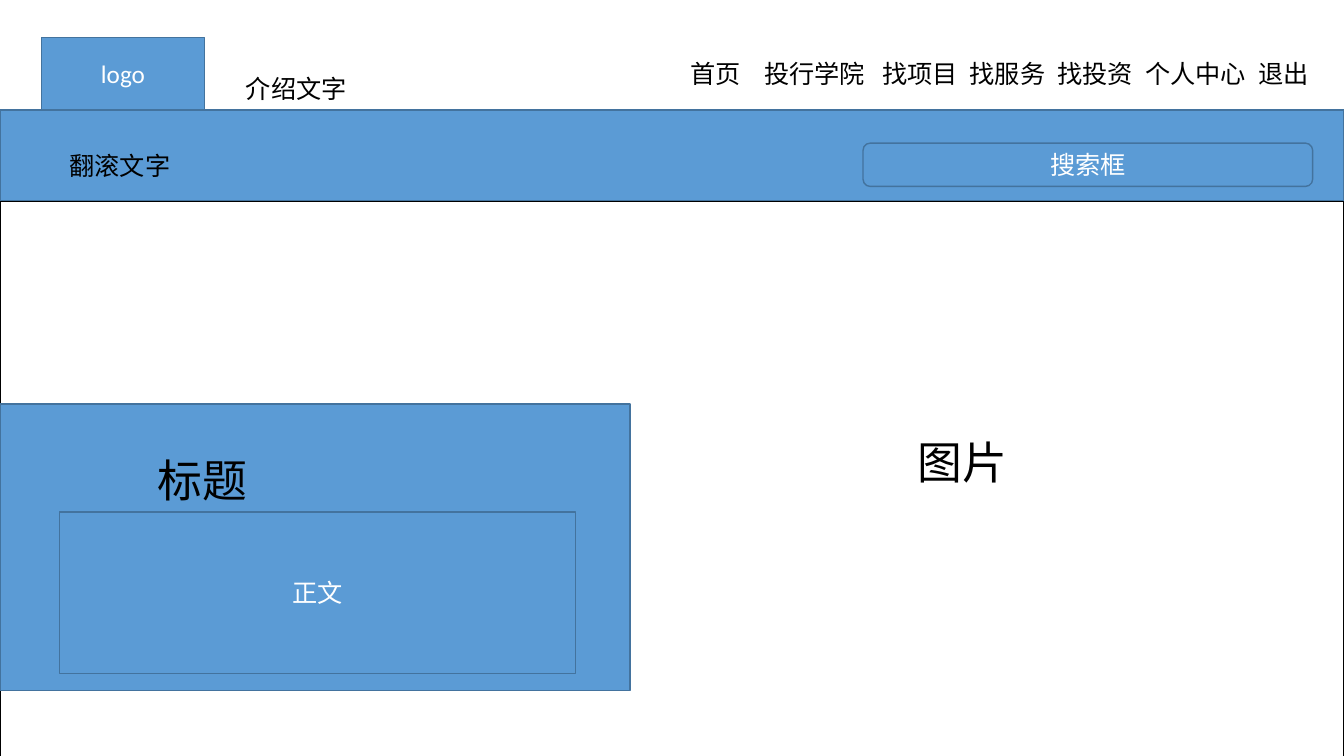
import pptx
import pptx.util
import pptx.dml.color
import pptx.enum.shapes
import pptx.enum.text
import pptx.oxml
import pptx.oxml.ns

Inches = pptx.util.Inches
SHAPE = pptx.enum.shapes.MSO_SHAPE
ALIGN = pptx.enum.text.PP_ALIGN
ANCHOR = pptx.enum.text.MSO_ANCHOR

COLORS = {"blue": "5B9BD5", "edge": "43739E", "black": "000000", "white": "FFFFFF"}
FONT = "Calibri"
WIDTH, HEIGHT = 13.33, 7.5

# Content: boxes are (left, top, width, height) in inches
HEADER_BLOCKS = [
    (SHAPE.RECTANGLE, (0.41, 0.37, 1.62, 0.72), "logo"),
    (SHAPE.RECTANGLE, (0, 1.09, WIDTH, 0.9), ""),
    (SHAPE.ROUNDED_RECTANGLE, (8.56, 1.42, 4.46, 0.43), "搜索框"),
]
PICTURE_AREA = (0, 2, WIDTH, 5.51)
CARD_BLOCKS = [
    (SHAPE.RECTANGLE, (0, 4.01, 6.25, 2.84), ""),
    (SHAPE.RECTANGLE, (0.59, 5.08, 5.12, 1.6), "正文"),
]
LABELS = [
    ((2.34, 0.68, 1.21, 0.4), "介绍文字", 18),
    ((0.59, 1.44, 1.44, 0.4), "翻滚文字", 18),
    ((9, 4.26, 3.32, 0.64), "图片", 32),
]
TITLE = ((1.46, 4.44, 2.87, 0.64), "标题", 32)
MENU_BOX = (6.75, 0.53, 6.37, 0.4)
MENU = ["首页", "投行学院", "找项目", "找服务", "找投资", "个人中心", "退出"]
MENU_GAPS = [0.23, 0.17, 0.12, 0.12, 0.12, 0.12]
GLYPH = 0.25  # width of one 18 pt character


def color(name):
    return pptx.dml.color.RGBColor.from_string(COLORS[name])


def write(shape, text, size, ink, align, anchor):
    frame = shape.text_frame
    frame.word_wrap = True
    frame.vertical_anchor = anchor
    para = frame.paragraphs[0]
    para.text = text
    para.alignment = align
    para.font.name = FONT
    para.font.size = pptx.util.Pt(size)
    para.font.color.rgb = color(ink)
    return para


def add_block(page, kind, box, text="", fill="blue", edge="edge"):
    block = page.shapes.add_shape(kind, *map(Inches, box))
    block.shadow.inherit = False
    block.fill.solid()
    block.fill.fore_color.rgb = color(fill)
    block.line.color.rgb = color(edge)
    block.line.width = pptx.util.Pt(1)
    if text:
        write(block, text, 18, "white", ALIGN.CENTER, ANCHOR.MIDDLE)


def add_label(page, box, text, size):
    label = page.shapes.add_textbox(*map(Inches, box))
    return write(label, text, size, "black", ALIGN.LEFT, ANCHOR.TOP)


def add_menu(page):
    para = add_label(page, MENU_BOX, "\t".join(MENU), 18)
    stops = pptx.oxml.parse_xml("<a:tabLst %s/>" % pptx.oxml.ns.nsdecls("a"))
    position = 0
    for item, gap in zip(MENU, MENU_GAPS):
        position += len(item) * GLYPH + gap
        stop = stops.makeelement(pptx.oxml.ns.qn("a:tab"),
                                 {"pos": str(Inches(position)), "algn": "l"})
        stops.append(stop)
    properties = para._p.get_or_add_pPr()
    properties.insert_element_before(stops, "a:defRPr", "a:extLst")


def add_title(page):
    box, text, size = TITLE
    title = page.shapes.title
    title.left, title.top, title.width, title.height = map(Inches, box)
    para = write(title, text, size, "black", ALIGN.LEFT, ANCHOR.TOP)
    para.line_spacing = 1.0
    para.space_before = pptx.util.Pt(0)
    # Bring the title in front of the card
    page.shapes._spTree.append(title._element)


def main():
    deck = pptx.Presentation()
    deck.slide_width, deck.slide_height = Inches(WIDTH), Inches(HEIGHT)
    page = deck.slides.add_slide(deck.slide_layouts[5])

    # Header, picture area and card, from back to front
    for block in HEADER_BLOCKS:
        add_block(page, *block)
    add_block(page, SHAPE.RECTANGLE, PICTURE_AREA, fill="white", edge="black")
    for block in CARD_BLOCKS:
        add_block(page, *block)

    # Text
    for label in LABELS:
        add_label(page, *label)
    add_menu(page)
    add_title(page)

    deck.save("out.pptx")


if __name__ == "__main__":
    main()
